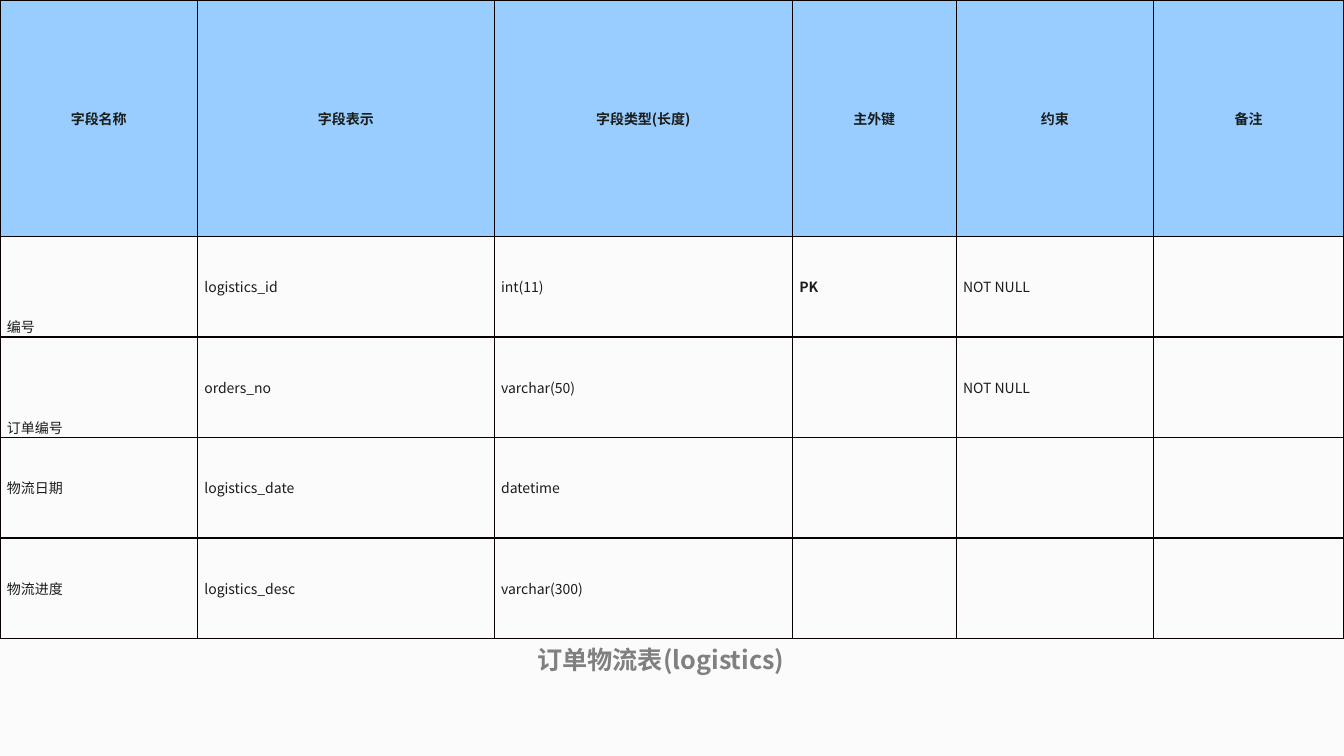
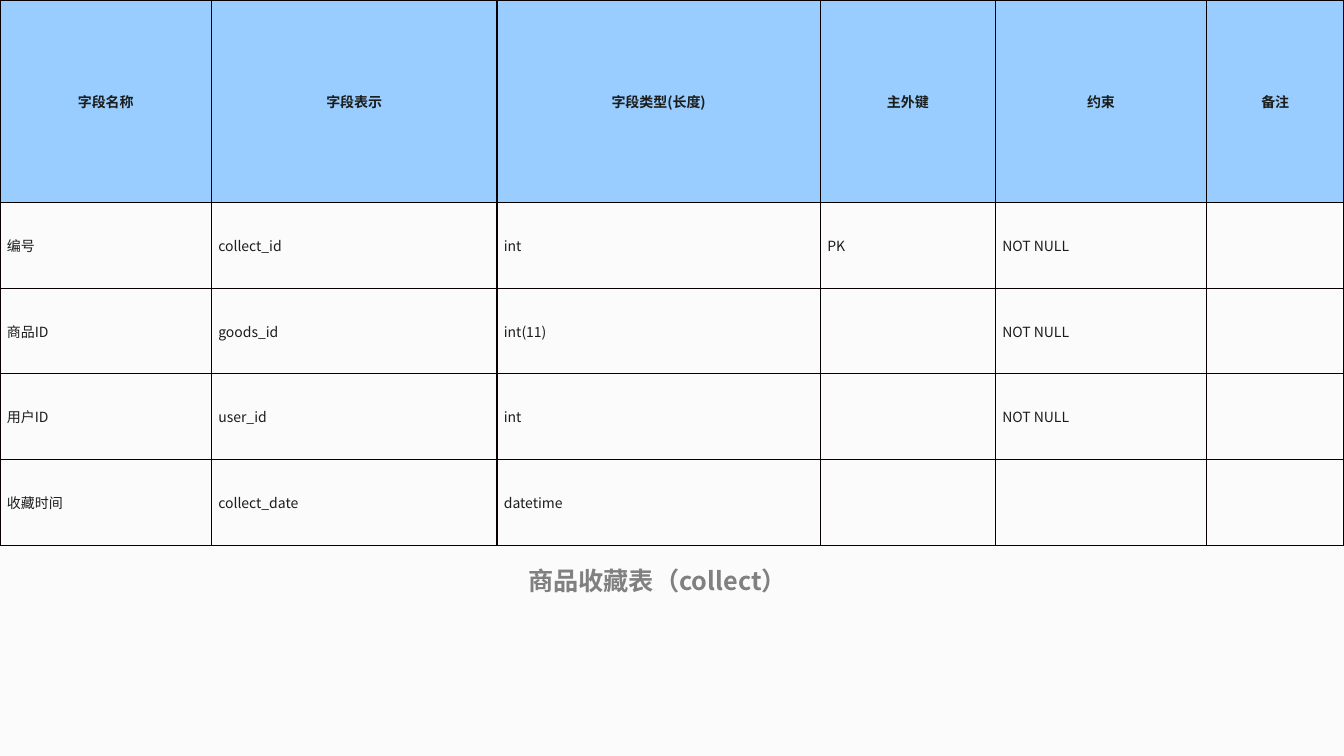
from lxml import etree
from pptx import Presentation
from pptx.dml.color import RGBColor
from pptx.enum.text import MSO_ANCHOR, MSO_AUTO_SIZE, PP_ALIGN
from pptx.oxml.ns import qn
from pptx.util import Pt

TOP, MIDDLE, BOTTOM = MSO_ANCHOR.TOP, MSO_ANCHOR.MIDDLE, MSO_ANCHOR.BOTTOM
LEFT, CENTER = PP_ALIGN.LEFT, PP_ALIGN.CENTER
NO_FIT = MSO_AUTO_SIZE.NONE

# Shared style
FONT = "Noto Sans CJK SC"
COLORS = {"page": "FBFBFB", "header": "99CCFF", "text": "1A1D1A",
          "title": "808080", "border": "080000"}
TITLE_ONLY = 5
TITLE_HEIGHT = 28.8
CELL_MARGIN = 5

# Content: bold and bottom hold (row, column) positions in the table
HEADER = ["字段名称", "字段表示", "字段类型(长度)", "主外键", "约束", "备注"]
SLIDES = [
    {
        "title": "订单物流表(logistics)",
        "title_box": (376.5, 456.5, 206.5),
        "columns": [141, 212, 213, 117, 141, 136],
        "header_height": 169,
        "row_height": 71.8,
        "rows": [
            ["编号", "logistics_id", "int(11)", "PK", "NOT NULL", ""],
            ["订单编号", "orders_no", "varchar(50)", "", "NOT NULL", ""],
            ["物流日期", "logistics_date", "datetime", "", "", ""],
            ["物流进度", "logistics_desc", "varchar(300)", "", "", ""],
        ],
        "bold": {(1, 3)},
        "bottom": {(1, 0), (2, 0)},
    },
    {
        "title": "商品收藏表（collect）",
        "title_box": (370, 400.5, 242.5),
        "columns": [151, 204, 231, 125, 151, 98],
        "header_height": 144.6,
        "row_height": 61.2,
        "rows": [
            ["编号", "collect_id", "int", "PK", "NOT NULL", ""],
            ["商品ID", "goods_id", "int(11)", "", "NOT NULL", ""],
            ["用户ID", "user_id", "int", "", "NOT NULL", ""],
            ["收藏时间", "collect_date", "datetime", "", "", ""],
        ],
        "bold": set(),
        "bottom": set(),
    },
]


def rgb(name):
    return RGBColor.from_string(COLORS[name])


def style_paragraph(p, size, color, bold, align):
    p.alignment = align
    font = p.font
    font.size, font.bold, font.name = Pt(size), bold, FONT
    font.color.rgb = rgb(color)
    # East Asian typeface follows the Latin one
    latin = p._p.pPr.find(qn("a:defRPr")).find(qn("a:latin"))
    ea = etree.Element(qn("a:ea"), typeface=FONT)
    latin.addnext(ea)


def add_borders(cell):
    tc_pr = cell._tc.get_or_add_tcPr()
    for side in ("lnL", "lnR", "lnT", "lnB"):
        ln = etree.SubElement(tc_pr, qn(f"a:{side}"), w=str(Pt(1)))
        fill = etree.SubElement(ln, qn("a:solidFill"))
        etree.SubElement(fill, qn("a:srgbClr"), val=COLORS["border"])


def add_title(slide, text, box):
    left, top, width = box
    sp = slide.shapes.title
    sp.left, sp.top = Pt(left), Pt(top)
    sp.width, sp.height = Pt(width), Pt(TITLE_HEIGHT)
    tf = sp.text_frame
    tf.text = text
    tf.word_wrap, tf.auto_size, tf.vertical_anchor = True, NO_FIT, TOP
    style_paragraph(tf.paragraphs[0], 18, "title", True, LEFT)


def add_field_table(slide, data):
    rows = [HEADER] + data["rows"]
    heights = [data["header_height"]] + [data["row_height"]] * len(data["rows"])
    table = slide.shapes.add_table(
        len(rows), len(HEADER), 0, 0,
        Pt(sum(data["columns"])), Pt(sum(heights))).table
    table.first_row = table.horz_banding = False
    for column, width in zip(table.columns, data["columns"]):
        column.width = Pt(width)
    for row, height in zip(table.rows, heights):
        row.height = Pt(height)

    for r, texts in enumerate(rows):
        is_header = r == 0
        for c, text in enumerate(texts):
            cell = table.cell(r, c)
            add_borders(cell)
            if is_header:
                cell.fill.solid()
                cell.fill.fore_color.rgb = rgb("header")
            else:
                cell.fill.background()
            cell.margin_left = cell.margin_right = Pt(CELL_MARGIN)
            cell.margin_top = cell.margin_bottom = 0
            cell.vertical_anchor = BOTTOM if (r, c) in data["bottom"] else MIDDLE
            cell.text = text
            style_paragraph(cell.text_frame.paragraphs[0], 10, "text",
                            is_header or (r, c) in data["bold"],
                            CENTER if is_header else LEFT)


def main():
    prs = Presentation()
    prs.slide_width, prs.slide_height = Pt(960), Pt(540)
    background = prs.slide_master.background.fill
    background.solid()
    background.fore_color.rgb = rgb("page")
    for data in SLIDES:
        slide = prs.slides.add_slide(prs.slide_layouts[TITLE_ONLY])
        add_title(slide, data["title"], data["title_box"])
        add_field_table(slide, data)
    prs.save("out.pptx")


if __name__ == "__main__":
    main()
